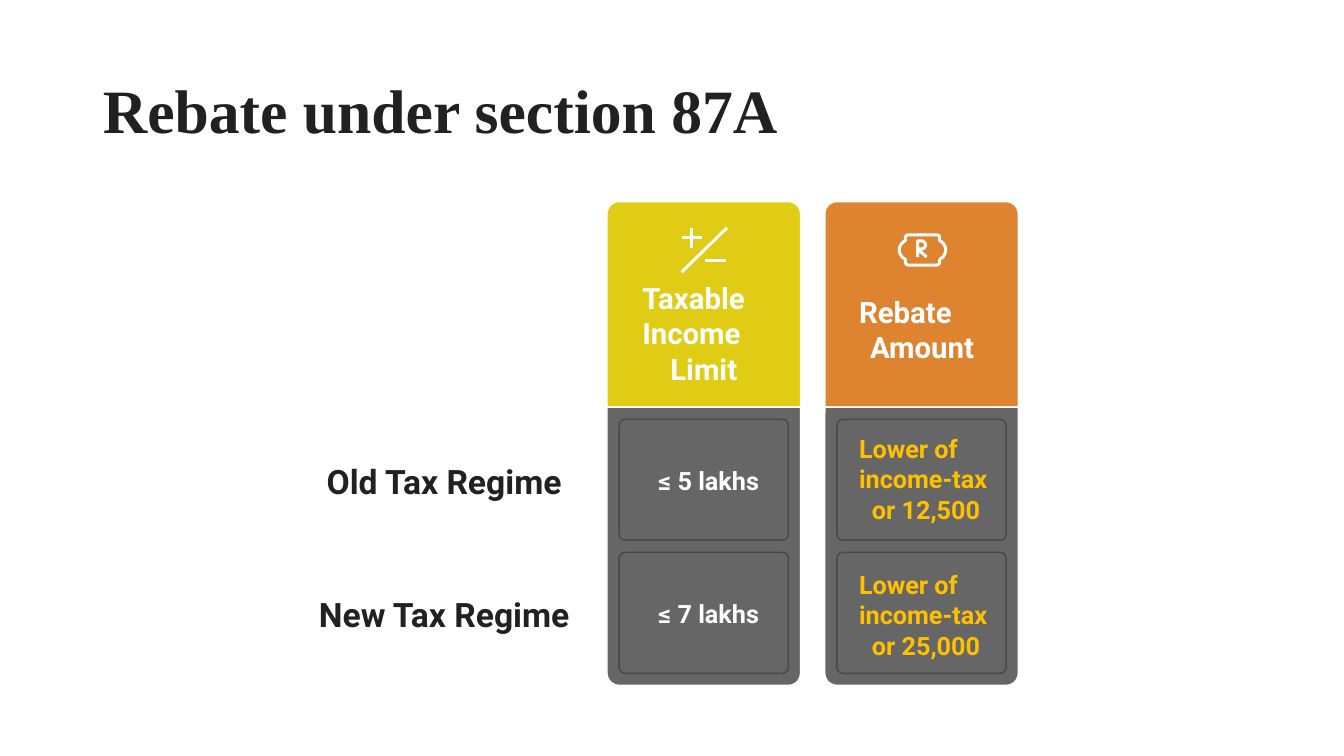
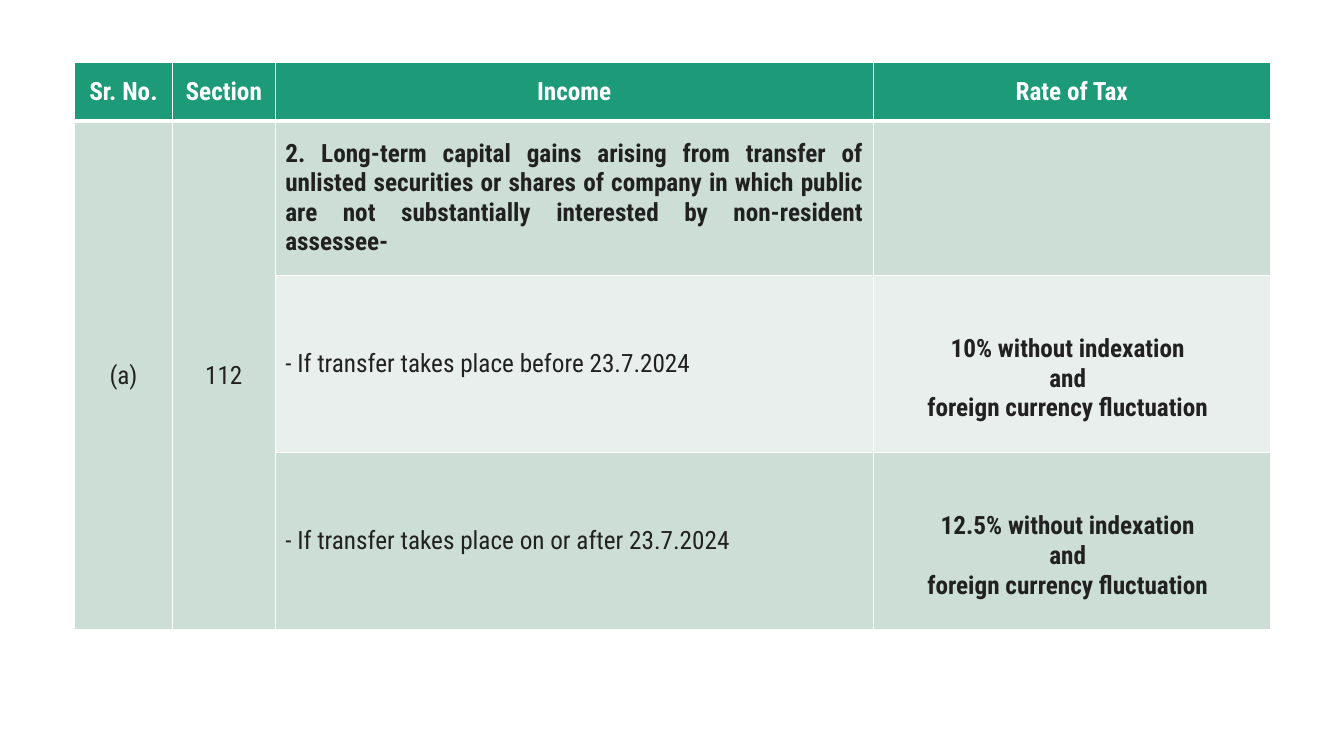
import math

import pptx
import pptx.dml.color
import pptx.enum.shapes
import pptx.enum.text
import pptx.util
from lxml import etree
from pptx.oxml.ns import qn

Inches = pptx.util.Inches
Pt = pptx.util.Pt
SHAPE = pptx.enum.shapes.MSO_SHAPE
ALIGN = pptx.enum.text.PP_ALIGN
ANCHOR = pptx.enum.text.MSO_ANCHOR

INK, WHITE, AMBER = "212121", "FFFFFF", "FFC000"
PANEL, FRAME = "666666", "484848"
GREEN, MINT, PALE_MINT = "1D9A78", "CDDED6", "E8EFEC"
TITLE_FONT, CARD_FONT, TABLE_FONT = "Times New Roman", "Roboto", "Roboto Condensed"

TITLE = "Rebate under section 87A"
CARDS = [
    (["Taxable", "Income", "Limit"], "E0CB15", 6.37, 2.78, 1.22),
    (["Rebate", "Amount"], "DE8431", 8.52, 2.92, 1.25),
]
REGIMES = [
    ("Old Tax Regime", "≤ 5 lakhs", ["Lower of", "income-tax", "or 12,500"]),
    ("New Tax Regime", "≤ 7 lakhs", ["Lower of", "income-tax", "or 25,000"]),
]
CARD_LEFT, CARD_TOP, CARD_WIDTH, CARD_PITCH = 6.02, 2, 1.92, 2.16
HEAD_HEIGHT, BODY_HEIGHT, CORNER = 2.04, 2.76, 0.12
FRAME_HEIGHT, ROW_PITCH, AMOUNT_PITCH = 1.2, 1.32, 1.35
PLUS_MINUS = [
    (6.86, 2.26, 6.86, 2.46),
    (6.76, 2.36, 6.96, 2.36),
    (6.99, 2.58, 7.2, 2.58),
    (6.76, 2.7, 7.21, 2.26),
]

HEADINGS = ["Sr. No.", "Section", "Income", "Rate of Tax"]
SERIAL, SECTION = "(a)", "112"
GAINS = (
    "2. Long-term capital gains arising from transfer of unlisted securities "
    "or shares of company in which public are not substantially interested "
    "by non-resident assessee-"
)
TRANSFERS = [
    ("- If transfer takes place before 23.7.2024", "10% without indexation"),
    ("- If transfer takes place on or after 23.7.2024", "12.5% without indexation"),
]
RATE_ENDING = ["and", "foreign currency fluctuation"]
COLUMN_WIDTHS = [0.97, 1.02, 5.93, 3.94]
ROW_HEIGHTS = [0.58, 1.53, 1.76, 1.76]
ROW_FILLS = [GREEN, MINT, PALE_MINT, MINT]


def rgb(value):
    return pptx.dml.color.RGBColor.from_string(value)


def write(frame, lines, font, size, color, bold=True, align=ALIGN.CENTER):
    for index, line in enumerate(lines):
        paragraph = frame.paragraphs[0] if index == 0 else frame.add_paragraph()
        paragraph.text = line
        paragraph.alignment = align
        paragraph.font.name = font
        paragraph.font.size = Pt(size)
        paragraph.font.bold = bold
        paragraph.font.color.rgb = rgb(color)


def add_text(slide, box, lines, font, size, color, align=ALIGN.CENTER):
    frame = slide.shapes.add_textbox(*map(Inches, box)).text_frame
    frame.word_wrap = True
    frame.margin_left = frame.margin_right = 0
    frame.margin_top = frame.margin_bottom = 0
    write(frame, lines, font, size, color, align=align)
    return frame


def add_stepped_text(slide, box, lines, size, color):
    frame = add_text(slide, box, lines, CARD_FONT, size, color, ALIGN.LEFT)
    frame.paragraphs[-1].alignment = ALIGN.CENTER


def outline(shape, color, width):
    shape.line.color.rgb = rgb(color)
    shape.line.width = Pt(width)


def add_panel(slide, kind, box, corners, line, fill=None):
    panel = slide.shapes.add_shape(kind, *map(Inches, box))
    panel.shadow.inherit = False
    for index, radius in enumerate(corners):
        panel.adjustments[index] = radius / min(box[2:])
    if fill:
        panel.fill.solid()
        panel.fill.fore_color.rgb = rgb(fill)
    else:
        panel.fill.background()
    outline(panel, line, 1.08)


def add_stroke(slide, ends):
    stroke = slide.shapes.add_connector(
        pptx.enum.shapes.MSO_CONNECTOR.STRAIGHT, *map(Inches, ends))
    outline(stroke, WHITE, 2.16)
    etree.SubElement(stroke._element.spPr, qn("a:effectLst"))


def arc(x, y, radius, start, end, steps=10):
    angles = [math.radians(start + (end - start) * i / steps) for i in range(steps + 1)]
    return [(x + radius * math.cos(a), y + radius * math.sin(a)) for a in angles]


def add_path(slide, points, close):
    start, *rest = [(Inches(x), Inches(y)) for x, y in points]
    builder = slide.shapes.build_freeform(*start)
    builder.add_line_segments(rest, close=close)
    path = builder.convert_to_shape()
    path.shadow.inherit = False
    path.fill.background()
    outline(path, WHITE, 2.16)


def add_banknote(slide):
    left, right, top, bottom, middle = 9.01, 9.29, 2.36, 2.6, 2.48
    note = (
        arc(left, top, 0.03, 180, 270)
        + arc(right, top, 0.03, 270, 360)
        + arc(right - 0.01, middle, 0.1, -66, 66)
        + arc(right, bottom, 0.03, 0, 90)
        + arc(left, bottom, 0.03, 90, 180)
        + arc(left + 0.01, middle, 0.1, 114, 246)
    )
    letter = [(9.1, 2.55), (9.1, 2.39)] + arc(9.14, 2.43, 0.04, -90, 90)
    add_path(slide, letter + [(9.1, 2.47), (9.19, 2.55)], False)
    add_path(slide, note, True)


def build_rebate(slide):
    title = add_text(slide, (1.02, 0.4, 11.3, 1.45), [TITLE], TITLE_FONT, 44, INK, ALIGN.LEFT)
    title.vertical_anchor = ANCHOR.MIDDLE
    title.paragraphs[0].line_spacing = 0.9

    body_top = CARD_TOP + HEAD_HEIGHT
    for column, (heading, color, text_left, text_top, text_width) in enumerate(CARDS):
        left = CARD_LEFT + column * CARD_PITCH
        add_panel(slide, SHAPE.ROUND_2_SAME_RECTANGLE,
                  (left, CARD_TOP, CARD_WIDTH, HEAD_HEIGHT), (CORNER, 0), WHITE, color)
        add_panel(slide, SHAPE.ROUND_2_SAME_RECTANGLE,
                  (left, body_top, CARD_WIDTH, BODY_HEIGHT), (0, CORNER), WHITE, PANEL)
        for row in range(len(REGIMES)):
            add_panel(slide, SHAPE.ROUNDED_RECTANGLE,
                      (left + CORNER, body_top + CORNER + row * ROW_PITCH,
                       CARD_WIDTH - 2 * CORNER, FRAME_HEIGHT), (CORNER / 2,), FRAME)
        text_height = 0.42 * len(heading)
        add_stepped_text(slide, (text_left, text_top, text_width, text_height),
                         heading, 21, WHITE)

    for row, (regime, limit, amount) in enumerate(REGIMES):
        shift = row * ROW_PITCH
        add_text(slide, (3.07, 4.57 + shift, 2.67, 0.4), [regime], CARD_FONT, 24, INK)
        add_text(slide, (6.5, 4.62 + shift, 1.06, 0.3), [limit], CARD_FONT, 18, WHITE)
        add_stepped_text(slide, (8.52, 4.3 + row * AMOUNT_PITCH, 1.33, 0.91),
                         amount, 18, AMBER)

    for ends in PLUS_MINUS:
        add_stroke(slide, ends)
    add_banknote(slide)


def add_borders(cell, row):
    thick_edge = {0: "lnB", 1: "lnT"}.get(row)
    properties = cell._tc.get_or_add_tcPr()
    for edge in ("lnL", "lnR", "lnT", "lnB"):
        width = Pt(3 if edge == thick_edge else 1)
        border = etree.SubElement(properties, qn("a:" + edge), w=str(width))
        fill = etree.SubElement(border, qn("a:solidFill"))
        etree.SubElement(fill, qn("a:srgbClr"), val=WHITE)


def build_rates(slide):
    size = (sum(COLUMN_WIDTHS), sum(ROW_HEIGHTS))
    rates = slide.shapes.add_table(
        len(ROW_HEIGHTS), len(COLUMN_WIDTHS), *map(Inches, (0.74, 0.62, *size))).table
    for column, width in zip(rates.columns, COLUMN_WIDTHS):
        column.width = Inches(width)
    for row, (height, color) in enumerate(zip(ROW_HEIGHTS, ROW_FILLS)):
        rates.rows[row].height = Inches(height)
        for cell in rates.rows[row].cells:
            add_borders(cell, row)
            cell.fill.solid()
            cell.fill.fore_color.rgb = rgb(color)
            cell.vertical_anchor = ANCHOR.MIDDLE

    def fill_in(row, column, lines, color=INK, bold=True, align=ALIGN.CENTER):
        write(rates.cell(row, column).text_frame, lines, TABLE_FONT, 18, color, bold, align)

    for column, heading in enumerate(HEADINGS):
        fill_in(0, column, [heading], WHITE)
    for column, label in enumerate([SERIAL, SECTION]):
        rates.cell(1, column).merge(rates.cell(len(ROW_HEIGHTS) - 1, column))
        fill_in(1, column, [label], bold=False)
    fill_in(1, 2, [GAINS], align=ALIGN.JUSTIFY)
    for row, (transfer, rate) in enumerate(TRANSFERS, start=2):
        fill_in(row, 2, [transfer], bold=False, align=ALIGN.LEFT)
        fill_in(row, 3, [rate] + RATE_ENDING)
        rates.cell(row, 3).margin_top = Inches(0.34)
        rates.cell(row, 3).margin_right = Inches(0.18)


def main():
    deck = pptx.Presentation()
    deck.slide_width, deck.slide_height = Inches(13.33), Inches(7.5)
    for build in (build_rebate, build_rates):
        build(deck.slides.add_slide(deck.slide_layouts[6]))
    deck.save("out.pptx")


if __name__ == "__main__":
    main()
